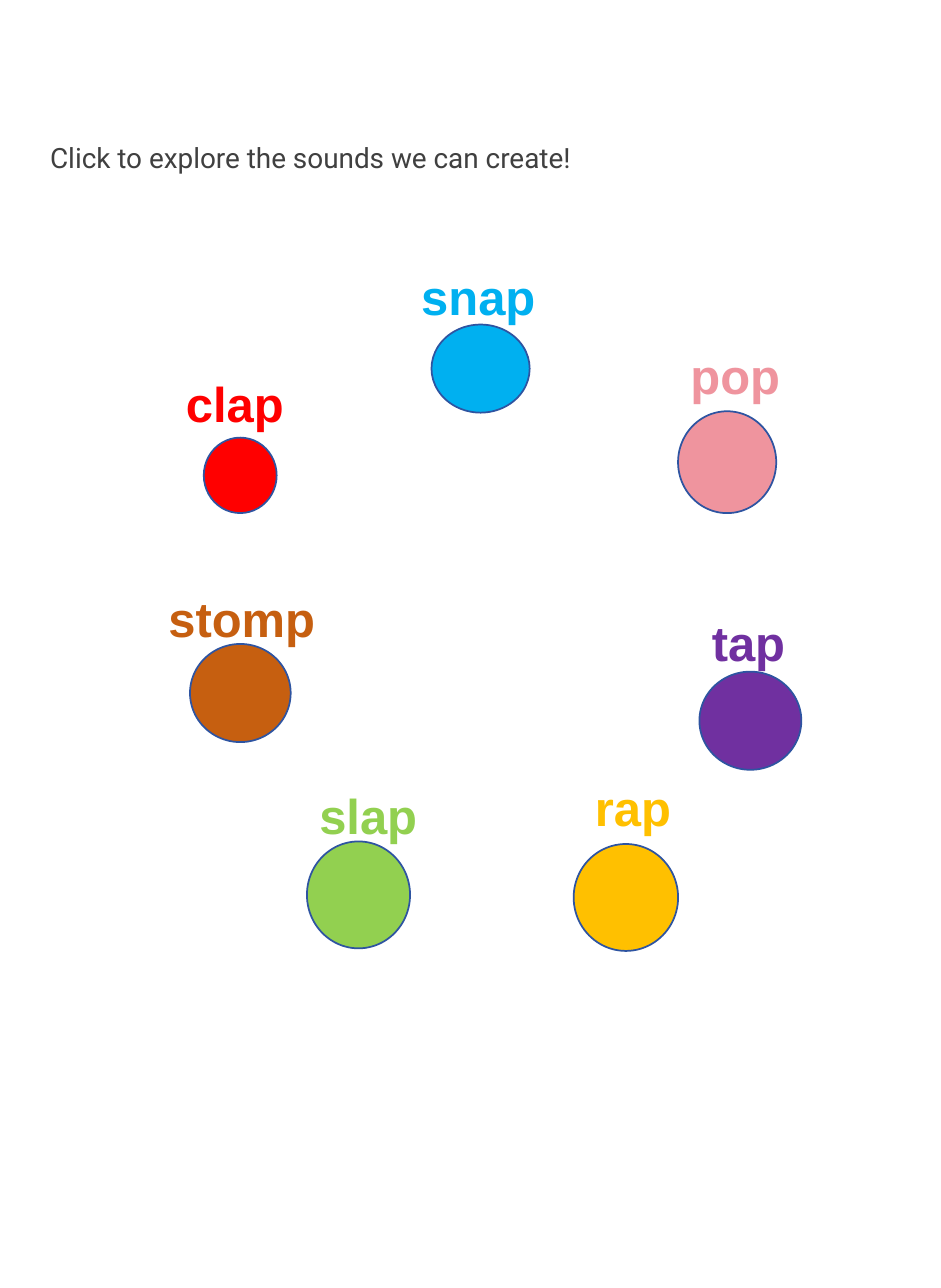
"""Build a slide of seven coloured sound dots with their labels."""
from typing import NamedTuple

from pptx import Presentation
from pptx import util as u
from pptx.dml.color import RGBColor
from pptx.enum import shapes, text
from pptx.slide import Slide

WIDE, HIGH = 7.48, 10.24
EDGE = "2E54A1"


class Box(NamedTuple):
    """Left, top, width and height in percent of the slide."""
    x: float
    y: float
    w: float
    h: float

    def place(self) -> tuple[u.Emu, ...]:
        """Turn the shares into lengths."""
        sides = (WIDE, HIGH, WIDE, HIGH)
        return tuple(u.Inches(part * side / 100) for part, side in zip(self, sides))


class Sound(NamedTuple):
    """A word, its colour, and the places of its dot and label."""
    word: str
    color: str
    dot: Box
    label: Box


SOUNDS = [
    Sound("slap", "92D050", Box(32.62, 65.33, 10.96, 8.3), Box(32.62, 60.55, 13.37, 4.79)),
    Sound("clap", "FF0000", Box(21.66, 33.98, 7.75, 5.86), Box(18.45, 28.52, 15.51, 3.42)),
    Sound("pop", "EF949E", Box(72.06, 31.93, 10.43, 7.91), Box(72.06, 26.37, 13.1, 5.57)),
    Sound("stomp", "C65F10", Box(20.19, 50, 10.7, 7.62), Box(16.58, 45.21, 19.39, 5.08)),
    Sound("rap", "FFC000", Box(60.96, 65.53, 11.1, 8.3), Box(61.9, 59.86, 12.43, 5.47)),
    Sound("tap", "7030A0", Box(74.33, 52.15, 10.83, 7.62), Box(74.33, 47.07, 13.37, 5.08)),
    Sound("snap", "00B0F0", Box(45.86, 25.2, 10.43, 6.84), Box(43.45, 20.21, 15.11, 2.34)),
]


def tint(code: str) -> RGBColor:
    """Read a hex colour."""
    return RGBColor.from_string(code)


def write(slide: Slide, box: Box, words: str, *, color: str, size: float = 28,
          face: str = "Arial", bold: bool = False) -> None:
    """Add a text box with one line in the given format."""
    frame = slide.shapes.add_textbox(*box.place()).text_frame
    frame.word_wrap = True
    frame.vertical_anchor = text.MSO_ANCHOR.TOP
    run = frame.paragraphs[0].add_run()
    run.text = words
    font = run.font
    font.name, font.size, font.bold = face, u.Pt(size), bold
    font.color.rgb = tint(color)


def draw_dot(slide: Slide, box: Box, color: str) -> None:
    """Add a filled ellipse with a thin blue edge."""
    dot = slide.shapes.add_shape(shapes.MSO_SHAPE.OVAL, *box.place())
    dot.shadow.inherit = False
    dot.fill.solid()
    dot.fill.fore_color.rgb = tint(color)
    dot.line.color.rgb = tint(EDGE)
    dot.line.width = u.Pt(1)


def main() -> None:
    """Draw the slide and save it."""
    deck = Presentation()
    deck.slide_width, deck.slide_height = u.Inches(WIDE), u.Inches(HIGH)
    slide = deck.slides.add_slide(deck.slide_layouts[6])
    write(slide, Box(4.01, 10.45, 79.68, 4.2), "Click to explore the sounds we can create!",
          color="404040", size=16, face="Roboto")
    for sound in SOUNDS:
        draw_dot(slide, sound.dot, sound.color)
    for sound in SOUNDS:
        write(slide, sound.label, sound.word, color=sound.color, bold=True)
    deck.save("out.pptx")


if __name__ == "__main__":
    main()
